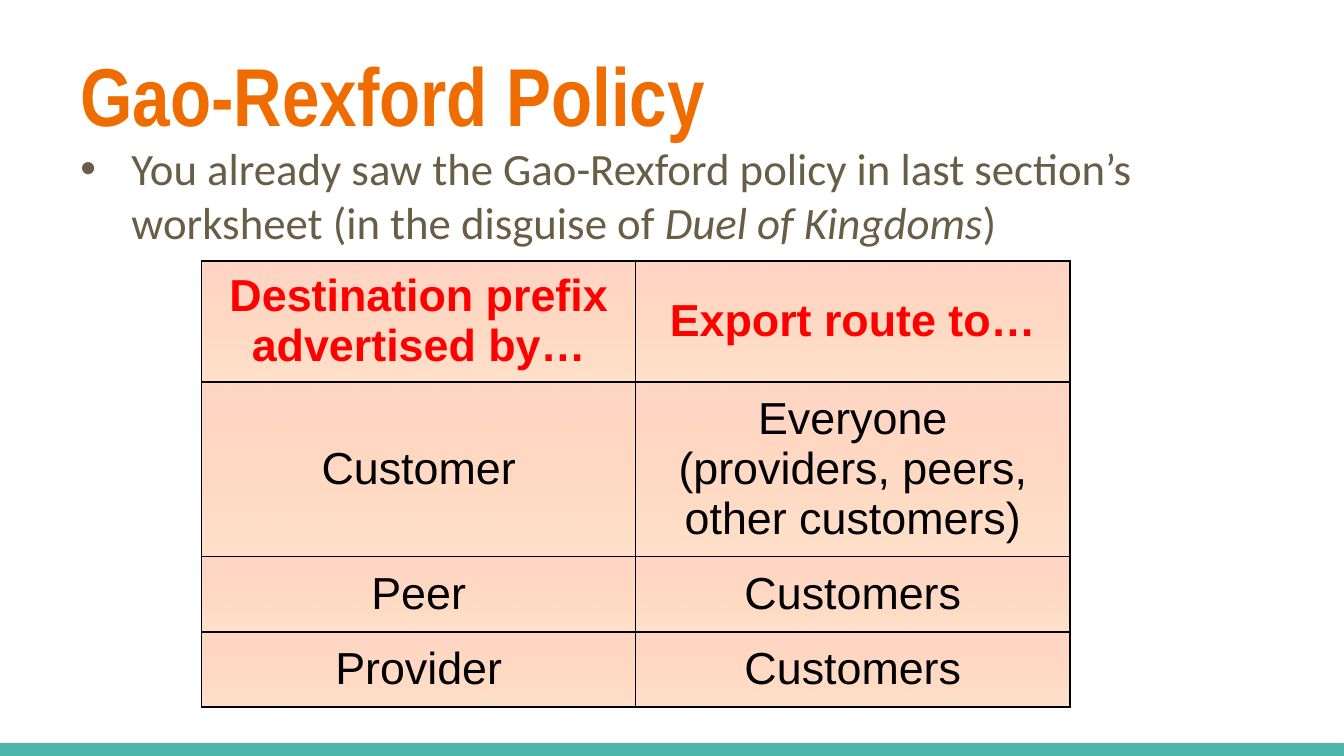
from lxml import etree
from pptx import Presentation
from pptx.dml.color import RGBColor
from pptx.enum.shapes import MSO_CONNECTOR
from pptx.enum.text import MSO_ANCHOR, PP_ALIGN
from pptx.oxml import parse_xml
from pptx.util import Inches, Pt

MIDDLE, TOP = MSO_ANCHOR.MIDDLE, MSO_ANCHOR.TOP
CENTER, LEFT = PP_ALIGN.CENTER, PP_ALIGN.LEFT
STRAIGHT = MSO_CONNECTOR.STRAIGHT
NAMESPACE = 'xmlns:a="http://schemas.openxmlformats.org/drawingml/2006/main"'

# Content
TITLE = "Gao-Rexford Policy"
BULLET = [
    ("You already saw the Gao-Rexford policy in last section’s "
     "worksheet (in the disguise of ", False),
    ("Duel of Kingdoms", True),
    (")", False),
]
POLICY = [
    ("Destination prefix advertised by…", "Export route to…"),
    ("Customer", "Everyone\v(providers, peers, other customers)"),
    ("Peer", "Customers"),
    ("Provider", "Customers"),
]

# Layout in inches; rows grow to fit their text
WIDTH = 10
HEIGHT = WIDTH * 9 / 16
MARGIN = 0.5
TABLE_LEFT, TABLE_TOP, COLUMN_WIDTH = 1.5, 1.94, 3.23
ROW_HEIGHTS = [0.58, 0.84, 0.56, 0.56]
CELL_MARGIN = 0.05
BULLET_INDENT = 0.38

# Colours
ORANGE, BROWN, TEAL = "EF6C00", "695D46", "4DB6AC"
RED, BLACK = "FF0000", "000000"
CELL_GRADIENT = [(0, "FF6800", 20), (100, "FF976D", 40)]


def color(value):
    return RGBColor.from_string(value)


def add_run(paragraph, text, size=24, font="Arial", fill=BLACK, bold=False, italic=False):
    for index, line in enumerate(text.split("\v")):
        if index:
            paragraph.add_line_break()
        run = paragraph.add_run()
        run.text = line
        run.font.size, run.font.name = Pt(size), font
        run.font.bold, run.font.italic = bold, italic
        run.font.color.rgb = color(fill)


def add_text_box(slide, top, height, anchor):
    box = slide.shapes.add_textbox(
        Inches(MARGIN), Inches(top), Inches(WIDTH - 2 * MARGIN), Inches(height))
    frame = box.text_frame
    frame.word_wrap = True
    frame.vertical_anchor = anchor
    paragraph = frame.paragraphs[0]
    paragraph.alignment = LEFT
    return paragraph


def add_bullet(paragraph, character, fill):
    properties = paragraph._p.get_or_add_pPr()
    properties.set("marL", str(Inches(BULLET_INDENT)))
    properties.set("indent", str(-Inches(BULLET_INDENT)))
    for xml in (
        f'<a:buClr {NAMESPACE}><a:srgbClr val="{fill}"/></a:buClr>',
        f'<a:buFont {NAMESPACE} typeface="Arial"/>',
        f'<a:buChar {NAMESPACE} char="{character}"/>',
    ):
        properties.append(parse_xml(xml))


def style_cell(cell):
    cell.vertical_anchor = MIDDLE
    cell.margin_left = cell.margin_right = Inches(CELL_MARGIN)
    cell.margin_top = cell.margin_bottom = Inches(CELL_MARGIN)
    properties = cell._tc.get_or_add_tcPr()
    for side in "LRTB":
        properties.append(parse_xml(
            f'<a:ln{side} {NAMESPACE} w="{Pt(1)}"><a:solidFill>'
            f'<a:srgbClr val="{BLACK}"/></a:solidFill></a:ln{side}>'))
    stops = "".join(
        f'<a:gs pos="{position * 1000}"><a:srgbClr val="{fill}">'
        f'<a:alpha val="{opacity * 1000}"/></a:srgbClr></a:gs>'
        for position, fill, opacity in CELL_GRADIENT)
    properties.append(parse_xml(
        f'<a:gradFill {NAMESPACE}><a:gsLst>{stops}</a:gsLst>'
        f'<a:lin ang="{270 * 60000}" scaled="0"/></a:gradFill>'))


def add_footer_line(slide):
    y = Inches(5.6)
    line = slide.shapes.add_connector(STRAIGHT, 0, y, Inches(WIDTH), y)
    line.line.color.rgb = color(TEAL)
    line.line.width = Pt(10)
    effects = parse_xml(f"<a:effectLst {NAMESPACE}/>")
    shadow = etree.SubElement(
        effects, effects.tag.replace("effectLst", "outerShdw"),
        blurRad=str(Pt(3.1)), dist=str(Pt(1.6)), dir=str(90 * 60000), rotWithShape="0")
    shadow.append(parse_xml(
        f'<a:srgbClr {NAMESPACE} val="{BLACK}"><a:alpha val="38000"/></a:srgbClr>'))
    line._element.spPr.append(effects)


def add_policy_table(slide):
    columns = len(POLICY[0])
    frame = slide.shapes.add_table(
        len(POLICY), columns, Inches(TABLE_LEFT), Inches(TABLE_TOP),
        Inches(COLUMN_WIDTH * columns), Inches(sum(ROW_HEIGHTS)))
    table = frame.table
    table.horz_banding = False
    for column in table.columns:
        column.width = Inches(COLUMN_WIDTH)
    for row_index, texts in enumerate(POLICY):
        table.rows[row_index].height = Inches(ROW_HEIGHTS[row_index])
        header = row_index == 0
        for column_index, text in enumerate(texts):
            cell = table.cell(row_index, column_index)
            style_cell(cell)
            paragraph = cell.text_frame.paragraphs[0]
            paragraph.alignment = CENTER
            add_run(paragraph, text, fill=RED if header else BLACK, bold=header)


def main():
    presentation = Presentation()
    presentation.slide_width = Inches(WIDTH)
    presentation.slide_height = Inches(HEIGHT)
    slide = presentation.slides.add_slide(presentation.slide_layouts[6])

    add_footer_line(slide)

    # Title
    title = add_text_box(slide, 0.23, 0.94, MIDDLE)
    add_run(title, TITLE, size=44, font="Arial Narrow", fill=ORANGE, bold=True)

    # Bullet
    body = add_text_box(slide, 1, 4.46, TOP)
    add_bullet(body, "•", BROWN)
    for text, italic in BULLET:
        add_run(body, text, font="Calibri", fill=BROWN, italic=italic)

    add_policy_table(slide)
    presentation.save("out.pptx")


if __name__ == "__main__":
    main()
